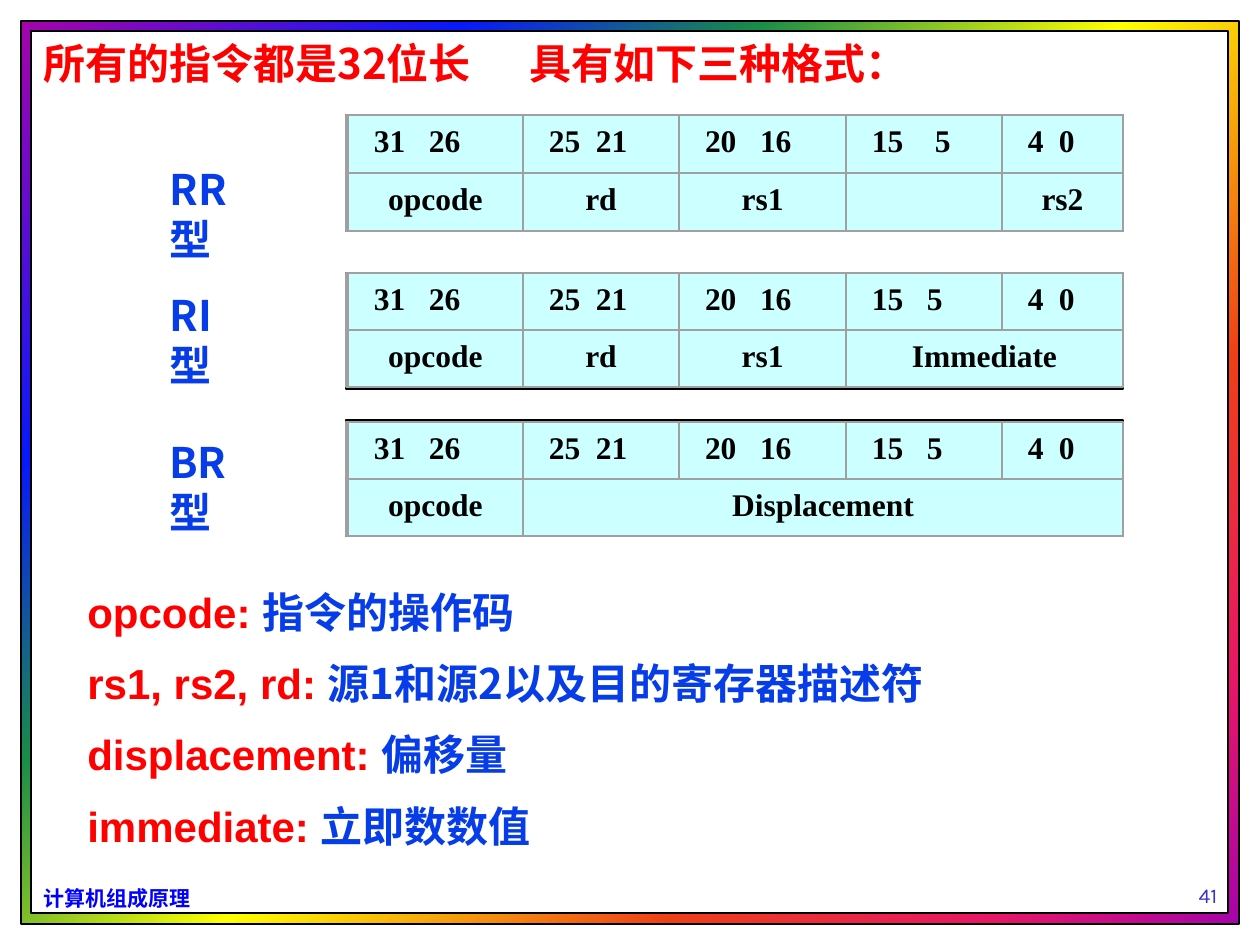
"""Build the slide on the three 32-bit instruction formats."""
from dataclasses import dataclass

from lxml.etree import SubElement
from pptx import Presentation
from pptx.dml.color import RGBColor
from pptx.enum.shapes import MSO_SHAPE as SHAPE
from pptx.enum.text import MSO_ANCHOR as ANCHOR, PP_ALIGN as ALIGN
from pptx.oxml.ns import qn
from pptx.util import Pt

SCALE = 914400 / 126
CJK, SERIF, SANS = "Noto Sans CJK SC", "Times New Roman", "Arial"
COLORS = {
    "white": "FFFFFF", "black": "000000", "red": "FF0000", "blue": "063DE9",
    "footer": "0000FF", "number": "3333CC", "cell": "CCFFFF", "border": "A0A0A0",
}
RAINBOW = [(0, "A603AB"), (21, "0819FB"), (35, "1A8D48"), (52, "FFFF00"),
           (73, "EE3F17"), (88, "E81766"), (100, "A603AB")]
EDGES = [348, 523, 679, 846, 1002, 1123]
BITS = ["31\t26", "25\t21", "20\t16", "15\t5", "4\t0"]
PANEL_LEFT, PANEL_WIDTH, PANEL_HEIGHT = 346, 777, 116


@dataclass
class Format:
    label: str
    label_top: int
    panel_top: int
    top: int
    row_height: int
    bits_gap: int
    fields: list[str]


@dataclass
class Definition:
    term: str
    meaning: str


FORMATS = [
    Format("RR型", 157, 115, 115, 58, 63, ["opcode", "rd", "rs1", "", "rs2"]),
    Format("RI型", 283, 273, 273, 57, 55, ["opcode", "rd", "rs1", "Immediate"]),
    Format("BR型", 430, 420, 422, 57, 55, ["opcode", "Displacement"]),
]
DEFINITIONS = [
    Definition("opcode: ", "指令的操作码"),
    Definition("rs1, rs2, rd: ", "源1和源2以及目的寄存器描述符"),
    Definition("displacement: ", "偏移量"),
    Definition("immediate: ", "立即数数值"),
]


def px(n: int) -> int:
    """Turn px into EMU."""
    return round(n * SCALE)


def rgb(name: str) -> RGBColor:
    """Look up a named colour."""
    return RGBColor.from_string(COLORS[name])


def add_text(p, text: str, *, size: int = 24, font: str = CJK, color: str = "blue",
             bold: bool = True, align=ALIGN.LEFT, tab: int = 0) -> None:
    """Add a formatted run to a paragraph, with an optional tab stop."""
    p.alignment = align
    if tab:
        tabs = SubElement(p._p.get_or_add_pPr(), qn("a:tabLst"))
        SubElement(tabs, qn("a:tab"), pos=str(px(tab)), algn="l")
    r = p.add_run()
    r.text = text
    r.font.size, r.font.bold, r.font.name = Pt(size), bold, font
    r.font.color.rgb = rgb(color)
    SubElement(r._r.get_or_add_rPr(), qn("a:ea"), typeface=font)


def add_box(s, x: int, y: int, w: int, h: int, *, wrap: bool = True, anchor=ANCHOR.TOP):
    """Add a text box and return its text frame."""
    tf = s.shapes.add_textbox(px(x), px(y), px(w), px(h)).text_frame
    tf.word_wrap, tf.vertical_anchor = wrap, anchor
    return tf


def add_rect(s, x: int, y: int, w: int, h: int, *, fill: str = "",
             line: str = "black", weight: float = 0.75):
    """Add an outlined rectangle, filled if a colour is named."""
    sp = s.shapes.add_shape(SHAPE.RECTANGLE, px(x), px(y), px(w), px(h))
    sp.shadow.inherit = False
    if fill:
        sp.fill.solid()
        sp.fill.fore_color.rgb = rgb(fill)
    else:
        sp.fill.background()
    sp.line.color.rgb, sp.line.width = rgb(line), Pt(weight)
    return sp


def add_frame(s) -> None:
    """Draw the rainbow border around the white page."""
    sp = add_rect(s, 21, 21, 1218, 903, fill="white")
    sp.fill.gradient()
    sp.fill.gradient_angle = 315
    stops = sp._element.spPr.find(qn("a:gradFill")).find(qn("a:gsLst"))
    for stop in list(stops):
        stops.remove(stop)
    for percent, color in RAINBOW:
        stop = SubElement(stops, qn("a:gs"), pos=str(percent * 1000))
        SubElement(stop, qn("a:srgbClr"), val=color)
    add_rect(s, 31, 31, 1197, 882, fill="white")


def add_field(s, left: int, right: int, top: int, height: int, text: str, *,
              align=ALIGN.CENTER, tab: int = 0) -> None:
    """Draw one bit field with its text."""
    sp = add_rect(s, left, top, right - left, height, line="border", weight=0)
    if not text:
        return
    tf = sp.text_frame
    tf.word_wrap, tf.vertical_anchor = True, ANCHOR.TOP
    tf.margin_left = tf.margin_right = px(26)
    tf.margin_top = tf.margin_bottom = px(6)
    add_text(tf.paragraphs[0], text, size=18, font=SERIF, color="black",
             align=align, tab=tab)


def add_format(s, fmt: Format) -> None:
    """Draw one instruction format with its label."""
    add_text(add_box(s, 157, fmt.label_top, 104, 63).paragraphs[0], fmt.label)
    add_rect(s, PANEL_LEFT, fmt.panel_top, PANEL_WIDTH, PANEL_HEIGHT, fill="cell")
    gaps = [55, 47, 55, fmt.bits_gap, 31]
    for left, right, bits, gap in zip(EDGES, EDGES[1:], BITS, gaps):
        add_field(s, left, right, fmt.top, fmt.row_height, bits,
                  align=ALIGN.LEFT, tab=gap)
    ends = EDGES[1:len(fmt.fields)] + EDGES[-1:]
    for left, right, field in zip(EDGES, ends, fmt.fields):
        add_field(s, left, right, fmt.top + fmt.row_height, fmt.row_height, field)
    add_rect(s, PANEL_LEFT, fmt.top, PANEL_WIDTH, 2 * fmt.row_height, line="border")


def add_definitions(s) -> None:
    """List what each field means."""
    tf = add_box(s, 75, 580, 1132, 290)
    for i, item in enumerate(DEFINITIONS):
        p = tf.add_paragraph() if i else tf.paragraphs[0]
        if i:
            p.space_before = Pt(12)
        add_text(p, item.term, font=SANS, color="red")
        add_text(p, item.meaning)


def main() -> None:
    """Build and save the slide."""
    prs = Presentation()
    prs.slide_width, prs.slide_height = px(1260), px(945)
    s = prs.slides.add_slide(prs.slide_layouts[6])
    add_frame(s)
    footer = add_box(s, 31, 879, 173, 38, wrap=False)
    add_text(footer.paragraphs[0], "计算机组成原理", size=12, color="footer")
    number = add_box(s, 1156, 851, 104, 63, anchor=ANCHOR.BOTTOM)
    add_text(number.paragraphs[0], "41", size=12, font="Karla", color="number",
             bold=False, align=ALIGN.CENTER)
    title = add_box(s, 31, 31, 912, 63)
    add_text(title.paragraphs[0], "所有的指令都是32位长\t具有如下三种格式：",
             color="red", tab=486)
    for fmt in FORMATS:
        add_format(s, fmt)
    add_definitions(s)
    prs.save("out.pptx")


if __name__ == "__main__":
    main()
